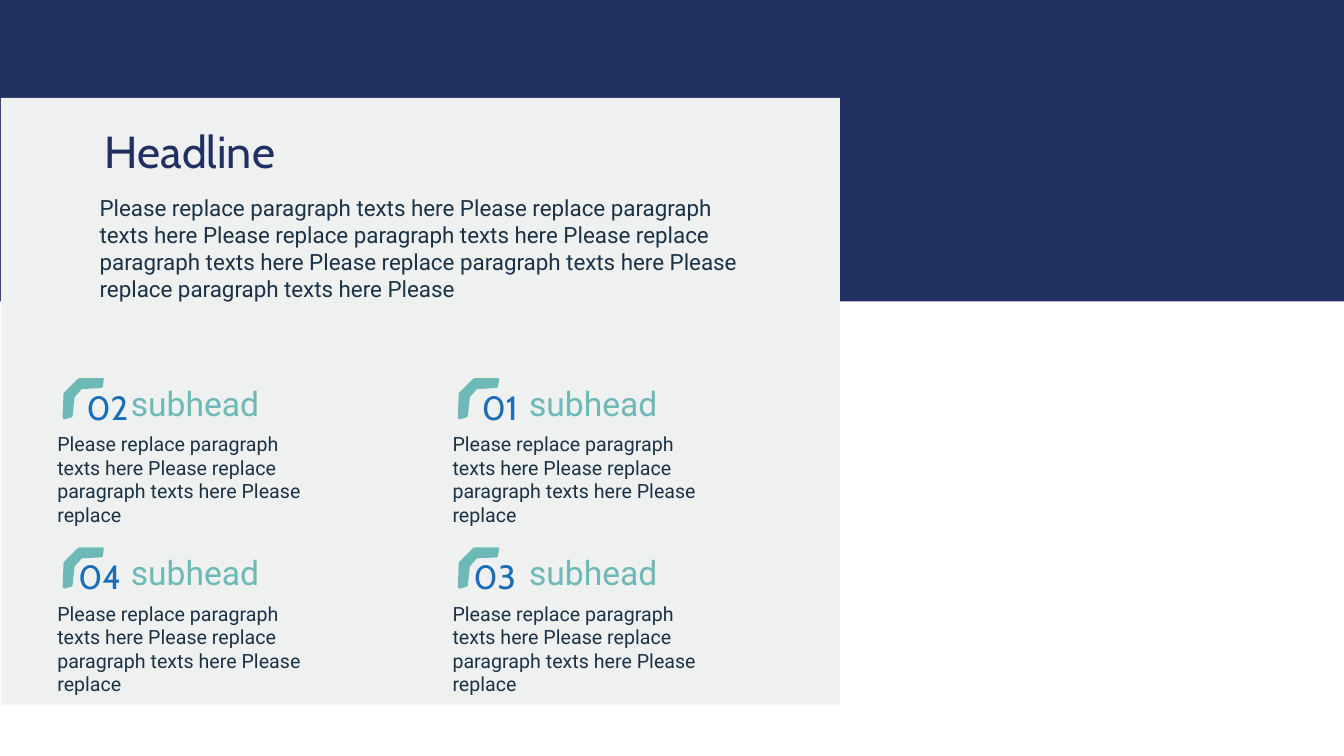
from pptx import Presentation
from pptx.dml.color import RGBColor
from pptx.enum.shapes import MSO_SHAPE
from pptx.enum.text import MSO_AUTO_SIZE
from pptx.util import Inches, Pt

RECTANGLE = MSO_SHAPE.RECTANGLE
GROW = MSO_AUTO_SIZE.SHAPE_TO_FIT_TEXT

NAVY = RGBColor(0x22, 0x2F, 0x61)
PALE = RGBColor(0xEF, 0xF0, 0xF0)
INK = RGBColor(0x1B, 0x32, 0x45)
TEAL = RGBColor(0x6C, 0xB9, 0xB6)
BLUE = RGBColor(0x1A, 0x6D, 0xB6)

# Content
PHRASE = "Please replace paragraph texts here "
HEADLINE = "Headline"
INTRO = PHRASE * 6 + "Please"
SUBHEAD = "subhead"
DETAIL = PHRASE * 2 + "Please replace"
NUMBERS = [["02", "01"], ["04", "03"]]

# Text formats: font values and left indent in inches
HEADLINE_STYLE = ({"name": "Cabin", "size": Pt(32)}, NAVY, 0)
INTRO_STYLE = ({"name": "Roboto", "size": Pt(16)}, INK, 0.06)
DETAIL_STYLE = ({"name": "Roboto", "size": Pt(14)}, INK, 0.06)
NUMBER_STYLE = ({"name": "Cabin", "size": Pt(24)}, BLUE, 0)
SUBHEAD_STYLE = ({"name": "Roboto", "size": Pt(24)}, TEAL, 0)

# Layout in inches
BACKGROUND = [((0, 0, 13.33, 2.99), NAVY), ((0.01, 0.97, 8.32, 6.02), PALE)]
GRID_LEFT, GRID_TOP = 0.41, 3.75
COLUMN_PITCH, ROW_PITCH = 3.92, 1.68
SUBHEAD_LEFTS = [1.2, 5.15]
NUMBER_SHIFTS = [0.35, 0.27]
BRACKET_SHIFT = 0.21
BRACKET = [(0.19, 0.11), (0.38, 0.1), (0.4, 0.09), (0.41, 0.01), (0.4, 0),
           (0.17, 0), (0.15, 0.01), (0.01, 0.15), (0.01, 0.16), (0, 0.4),
           (0.02, 0.41), (0.09, 0.39), (0.1, 0.38), (0.12, 0.19)]

deck = Presentation()
deck.slide_width, deck.slide_height = Inches(13.33), Inches(7.5)
page = deck.slides.add_slide(deck.slide_layouts[6])


def paint(shape, color):
    shape.shadow.inherit = False
    shape.fill.solid()
    shape.fill.fore_color.rgb = color
    shape.line.fill.background()


def add_text(text, place, style):
    values, color, indent = style
    box = page.shapes.add_textbox(*map(Inches, place))
    box.text_frame.word_wrap = True
    box.text_frame.auto_size = GROW
    para = box.text_frame.paragraphs[0]
    if indent:
        para._p.get_or_add_pPr().set("marL", str(Inches(indent)))
    span = para.add_run()
    span.text = text
    for name, value in values.items():
        setattr(span.font, name, value)
    span.font.color.rgb = color


def add_bracket(left, top):
    points = [(Inches(left + x), Inches(top + y)) for x, y in BRACKET]
    builder = page.shapes.build_freeform(*points[0])
    builder.add_line_segments(points[1:], close=True)
    paint(builder.convert_to_shape(), TEAL)


# Band and panel
for place, color in BACKGROUND:
    paint(page.shapes.add_shape(RECTANGLE, *map(Inches, place)), color)

# Headline and introduction
add_text(HEADLINE, (0.94, 1.18, 3.12, 0.64), HEADLINE_STYLE)
add_text(INTRO, (0.83, 1.88, 6.83, 1.18), INTRO_STYLE)

# Grid of numbered items
for row, numbers in enumerate(NUMBERS):
    top = GRID_TOP + row * ROW_PITCH
    for column, number in enumerate(numbers):
        left = GRID_LEFT + column * COLUMN_PITCH
        add_text(DETAIL, (left, top + 0.49, 2.69, 1.04), DETAIL_STYLE)
        add_bracket(left + BRACKET_SHIFT, top)
        add_text(number, (left + NUMBER_SHIFTS[row], top + 0.04, 0.91, 0.5), NUMBER_STYLE)
        add_text(SUBHEAD, (SUBHEAD_LEFTS[column], top, 2.56, 0.5), SUBHEAD_STYLE)

deck.save("out.pptx")
